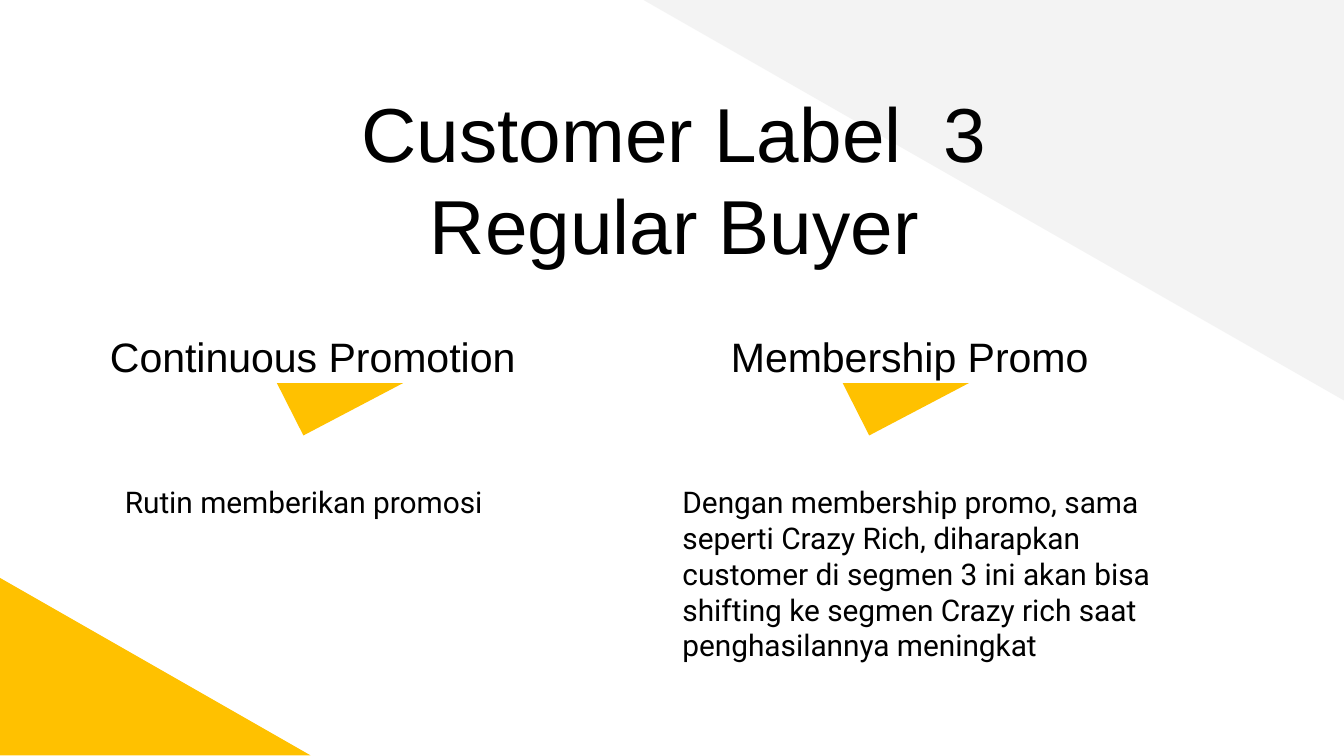
from pptx import Presentation
from pptx.dml.color import RGBColor
from pptx.enum.shapes import MSO_SHAPE as Shape
from pptx.enum.text import MSO_ANCHOR as Anchor, PP_ALIGN as Align
from pptx.util import Inches, Pt

BLACK = RGBColor(0x00, 0x00, 0x00)
YELLOW = RGBColor(0xFF, 0xC1, 0x00)
GRAY = RGBColor(0xF3, 0xF3, 0xF3)

HEADING_TOP, MARKER_TOP, BODY_TOP = 2.31, 2.85, 3.5
COLUMNS = [
    dict(heading="Continuous Promotion", heading_left=0.72, marker_left=2.06,
         body="Rutin memberikan promosi", body_left=0.83, body_width=3.19),
    dict(heading="Membership Promo", heading_left=5.34, marker_left=6.27,
         body="Dengan membership promo, sama seperti Crazy Rich, diharapkan "
              "customer di segmen 3 ini akan bisa shifting ke segmen Crazy rich "
              "saat penghasilannya meningkat",
         body_left=4.98, body_width=3.87),
]


def add_triangle(slide, kind, box, color, rotation=0):
    sp = slide.shapes.add_shape(kind, *map(Inches, box))
    sp.rotation = rotation
    sp.shadow.inherit = False
    sp.fill.solid()
    sp.fill.fore_color.rgb = color
    sp.line.fill.background()
    return sp


def add_text(slide, text, box, size, font="Arial", align=Align.LEFT,
             spacing=1.0, after=0):
    tf = slide.shapes.add_textbox(*map(Inches, box)).text_frame
    tf.word_wrap = True
    tf.vertical_anchor = Anchor.TOP
    tf.margin_left = tf.margin_right = Inches(0.1)
    tf.margin_top = tf.margin_bottom = Inches(0.1)
    tf.text = text
    for p in tf.paragraphs:
        p.alignment = align
        p.line_spacing = spacing
        p.space_after = Pt(after)
        for r in p.runs:
            r.font.name = font
            r.font.size = Pt(size)
            r.font.color.rgb = BLACK


def add_column(slide, heading, heading_left, marker_left, body, body_left, body_width):
    marker = add_triangle(slide, Shape.ISOSCELES_TRIANGLE,
                          (marker_left, MARKER_TOP, 0.94, 0.39), YELLOW, 180)
    marker.adjustments[0] = 0.79
    add_text(slide, heading, (heading_left, HEADING_TOP, 3.97, 0.54), 22,
             spacing=1.15, after=16)
    add_text(slide, body, (body_left, BODY_TOP, body_width, 1.09), 16, font="Roboto")


def main():
    """Build the customer label slide and save it."""
    prs = Presentation()
    prs.slide_width = Inches(10)
    prs.slide_height = prs.slide_width * 9 // 16
    s = prs.slides.add_slide(prs.slide_layouts[6])
    add_triangle(s, Shape.RIGHT_TRIANGLE, (4.77, -0.01, 5.23, 2.99), GRAY, 180)
    add_triangle(s, Shape.RIGHT_TRIANGLE, (0, 4.3, 2.31, 1.32), YELLOW)
    add_text(s, "Customer Label  3\nRegular Buyer", (0.59, 0.54, 8.86, 0.63), 41,
             align=Align.CENTER)
    for column in COLUMNS:
        add_column(s, **column)
    prs.save("out.pptx")


if __name__ == "__main__":
    main()
